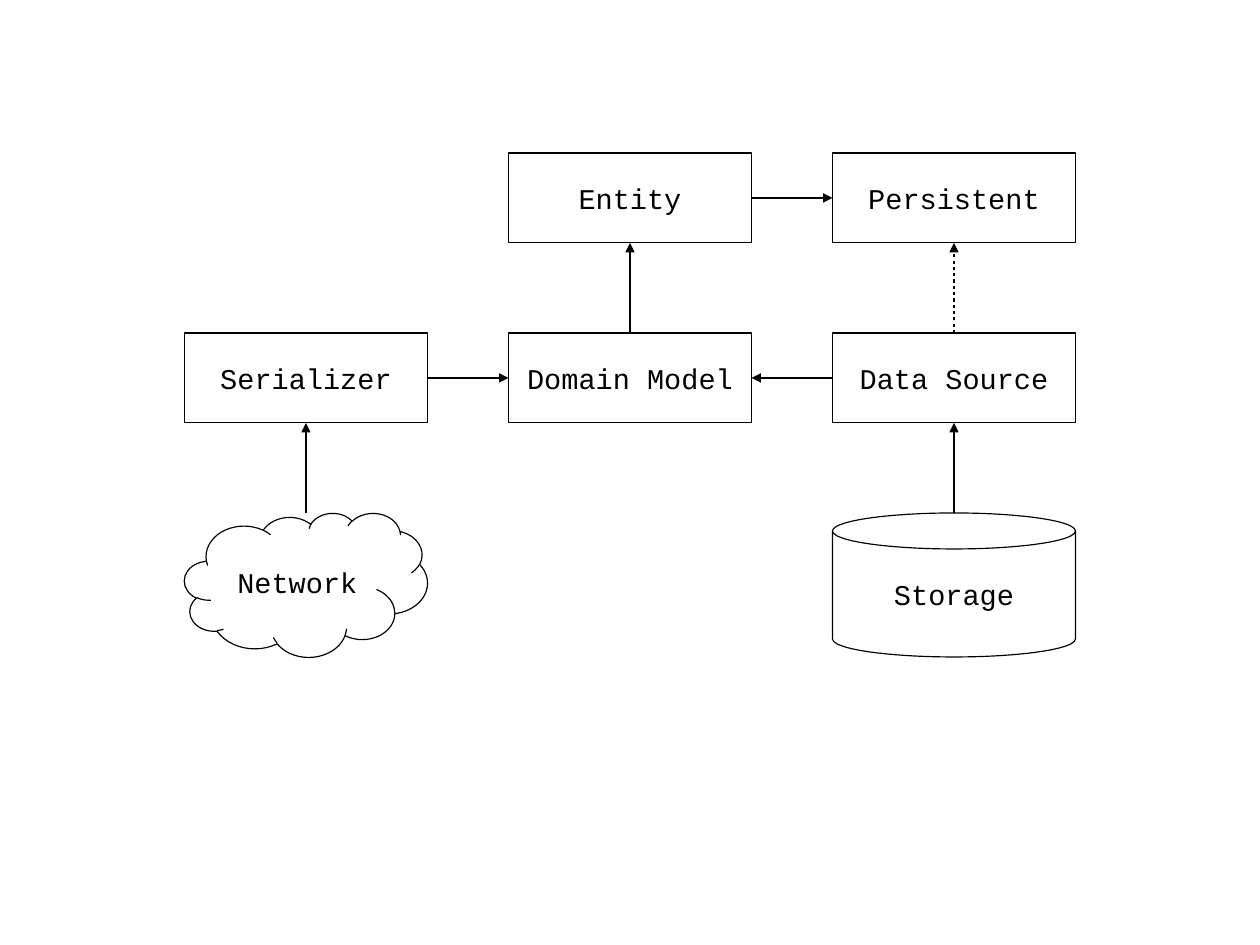
from lxml import etree
from pptx import Presentation
from pptx.dml.color import RGBColor
from pptx.enum.shapes import MSO_CONNECTOR, MSO_SHAPE
from pptx.enum.text import MSO_ANCHOR, PP_ALIGN
from pptx.oxml.ns import qn
from pptx.util import Inches, Pt

COLORS = {"ink": "000000", "background": "FFFFFF"}
FONT = "Courier New"
SLIDE_WIDTH, SLIDE_HEIGHT = 28, 21
GRID_LEFT, GRID_TOP = 4.1, 3.4
COLUMN_STEP, ROW_STEP = 7.2, 4
NODE_WIDTH, BOX_HEIGHT, SOURCE_HEIGHT = 5.4, 2, 3.2
TOP, LEFT, BOTTOM, RIGHT = range(4)

NODES = (
    ("Entity", 1, 0, MSO_SHAPE.RECTANGLE),
    ("Persistent", 2, 0, MSO_SHAPE.RECTANGLE),
    ("Serializer", 0, 1, MSO_SHAPE.RECTANGLE),
    ("Domain Model", 1, 1, MSO_SHAPE.RECTANGLE),
    ("Data Source", 2, 1, MSO_SHAPE.RECTANGLE),
    ("Network", 0, 2, MSO_SHAPE.CLOUD),
    ("Storage", 2, 2, MSO_SHAPE.CAN),
)
ARROWS = (
    ("Entity", RIGHT, "Persistent", LEFT, False),
    ("Serializer", RIGHT, "Domain Model", LEFT, False),
    ("Data Source", LEFT, "Domain Model", RIGHT, False),
    ("Domain Model", TOP, "Entity", BOTTOM, False),
    ("Data Source", TOP, "Persistent", BOTTOM, True),
    ("Network", TOP, "Serializer", BOTTOM, False),
    ("Storage", TOP, "Data Source", BOTTOM, False),
)


def metric(centimetres):
    """Return a length given in centimetres."""
    return Inches(centimetres / 2.54)


def ink():
    """Return the colour of lines and text."""
    return RGBColor.from_string(COLORS["ink"])


def add_node(slide, label, column, row, kind):
    """Add an outlined shape with a centred label to the grid."""
    height = BOX_HEIGHT if kind == MSO_SHAPE.RECTANGLE else SOURCE_HEIGHT
    shape = slide.shapes.add_shape(
        kind,
        metric(GRID_LEFT + column * COLUMN_STEP),
        metric(GRID_TOP + row * ROW_STEP),
        metric(NODE_WIDTH),
        metric(height),
    )
    shape.shadow.inherit = False
    shape.fill.background()
    shape.line.color.rgb = ink()
    shape.line.width = Pt(0)
    text_frame = shape.text_frame
    text_frame.text = label
    text_frame.word_wrap = False
    text_frame.vertical_anchor = MSO_ANCHOR.MIDDLE
    paragraph = text_frame.paragraphs[0]
    paragraph.alignment = PP_ALIGN.CENTER
    font = paragraph.runs[0].font
    font.name, font.size = FONT, Pt(18)
    font.color.rgb = ink()
    return shape


def side_middle(shape, side):
    """Return the middle of one side of a shape."""
    across = {LEFT: 0, RIGHT: shape.width}.get(side, shape.width // 2)
    down = {TOP: 0, BOTTOM: shape.height}.get(side, shape.height // 2)
    return shape.left + across, shape.top + down


def add_arrow(slide, start, start_side, end, end_side, dotted):
    """Add an arrow between the sides of two nodes."""
    connector = slide.shapes.add_connector(
        MSO_CONNECTOR.STRAIGHT, *side_middle(start, start_side), *side_middle(end, end_side)
    )
    if start.auto_shape_type == MSO_SHAPE.RECTANGLE:
        connector.begin_connect(start, start_side)
    connector.end_connect(end, end_side)
    connector.line.color.rgb = ink()
    connector.line.width = Pt(1)
    properties = connector._element.spPr
    outline = properties.find(qn("a:ln"))
    if dotted:
        dashes = etree.SubElement(outline, qn("a:custDash"))
        etree.SubElement(dashes, qn("a:ds"), d="200000", sp="200000")
    etree.SubElement(outline, qn("a:tailEnd"), type="triangle")
    etree.SubElement(properties, qn("a:effectLst"))


def main():
    """Build the data flow slide."""
    presentation = Presentation()
    presentation.slide_width = metric(SLIDE_WIDTH)
    presentation.slide_height = metric(SLIDE_HEIGHT)
    slide = presentation.slides.add_slide(presentation.slide_layouts[6])
    slide.background.fill.solid()
    slide.background.fill.fore_color.rgb = RGBColor.from_string(COLORS["background"])
    nodes = {node[0]: add_node(slide, *node) for node in NODES}
    for start, start_side, end, end_side, dotted in ARROWS:
        add_arrow(slide, nodes[start], start_side, nodes[end], end_side, dotted)
    presentation.save("out.pptx")


if __name__ == "__main__":
    main()
